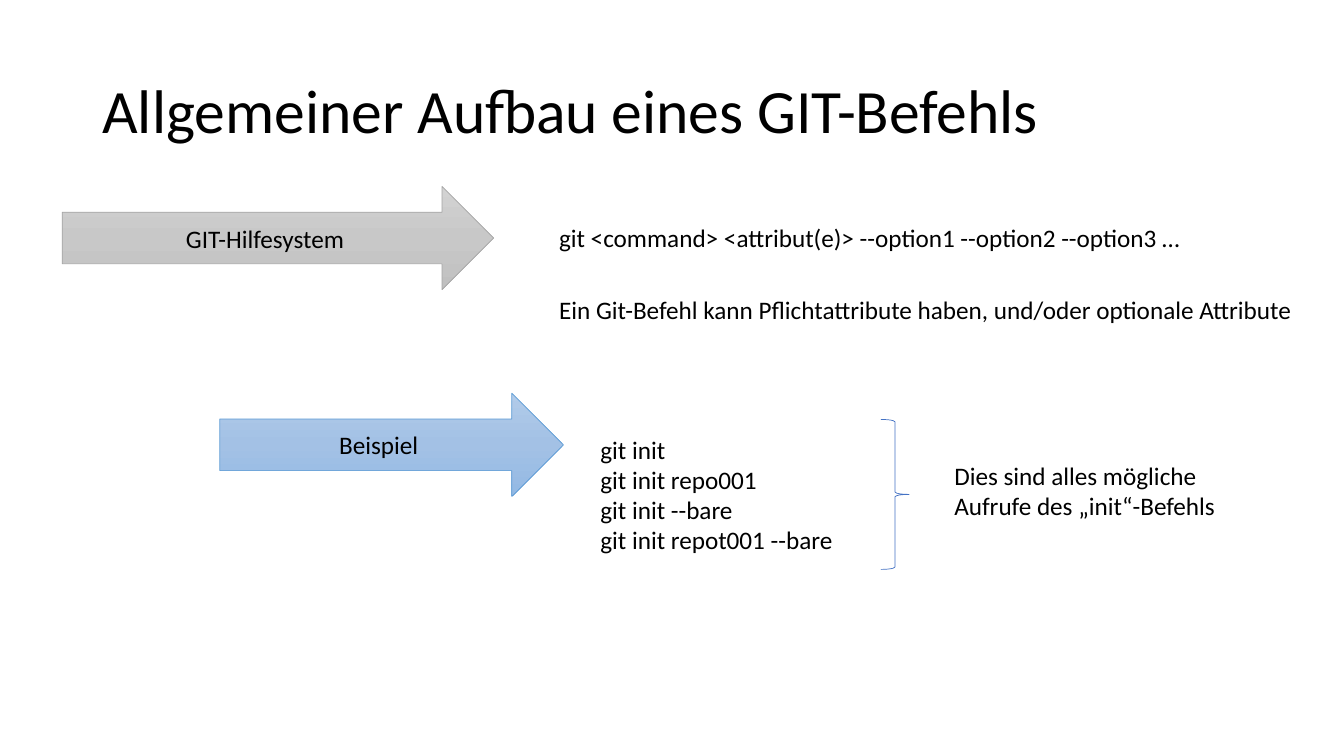
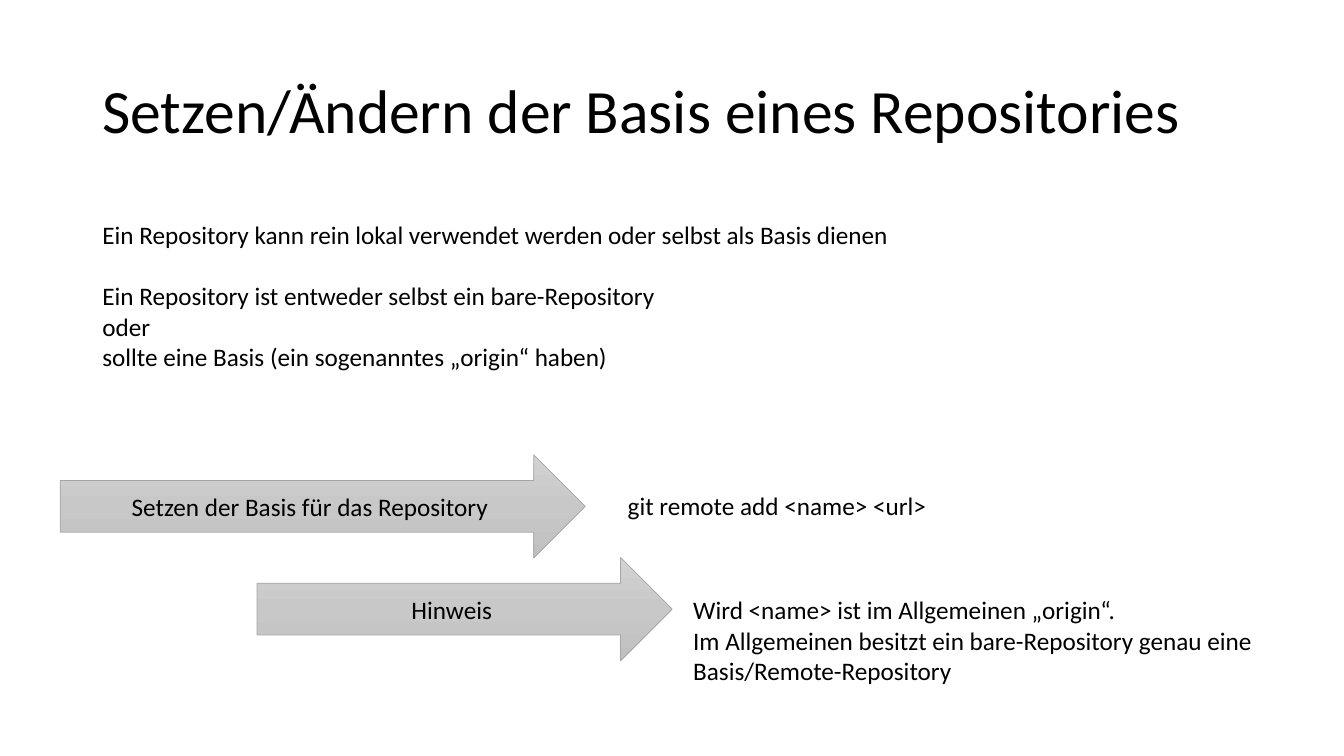
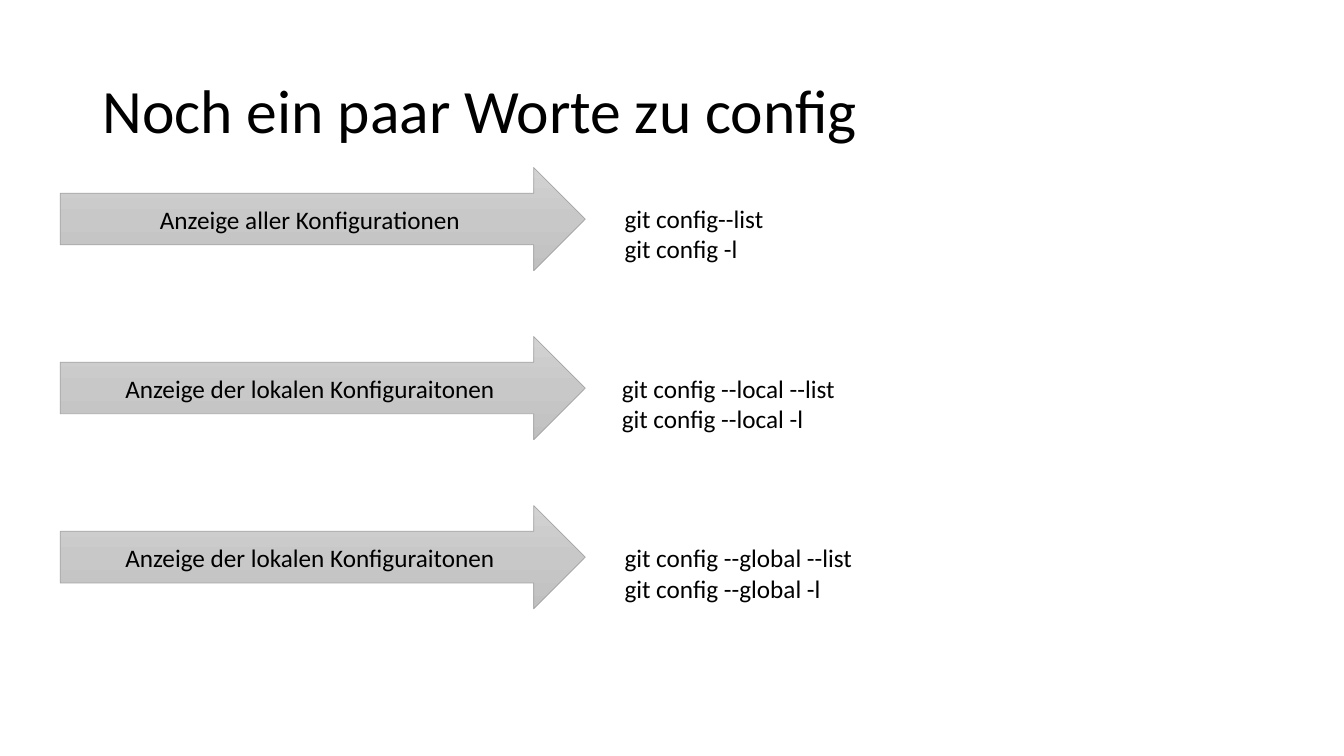
from copy import deepcopy

from pptx import Presentation
from pptx.dml.color import RGBColor
from pptx.enum.shapes import MSO_SHAPE
from pptx.enum.text import MSO_ANCHOR, PP_ALIGN
from pptx.oxml.ns import qn
from pptx.util import Cm, Pt

ARROW = MSO_SHAPE.RIGHT_ARROW
BRACE = MSO_SHAPE.RIGHT_BRACE
MIDDLE = MSO_ANCHOR.MIDDLE
CENTER = PP_ALIGN.CENTER

FONT = "Calibri"
BLACK = "000000"
BRACE_LINE = "4472C4"
GRAY = (("D2D2D2", "C8C8C8", "C0C0C0"), "A5A5A5")
BLUE = (("B1CBE9", "A3C1E5", "93B9E4"), "5B9BD5")
LINE_H = 0.78
INSET = 0.25


def color(code):
    """Turn a hex string into a colour."""
    return RGBColor.from_string(code)


def write(para, text, size=18):
    """Add one styled run to a paragraph."""
    run = para.add_run()
    run.text = text
    run.font.name = FONT
    run.font.size = Pt(size)
    run.font.color.rgb = color(BLACK)


def title(slide, text):
    """Add the slide title."""
    box = slide.shapes.add_textbox(Cm(2.33), Cm(1.02), Cm(29.21), Cm(3.68))
    frame = box.text_frame
    frame.word_wrap = True
    frame.vertical_anchor = MIDDLE
    para = frame.paragraphs[0]
    para.line_spacing = 0.9
    write(para, text, 44)


def lines(slide, left, top, width, texts, gaps=()):
    """Add a text box with one paragraph per line and gaps before some."""
    height = len(texts) * LINE_H + 2 * INSET
    box = slide.shapes.add_textbox(Cm(left), Cm(top), Cm(width), Cm(height))
    frame = box.text_frame
    frame.word_wrap = True
    for i, text in enumerate(texts):
        para = frame.add_paragraph() if i else frame.paragraphs[0]
        if i in gaps:
            para.space_before = Pt(22)
        write(para, text)


def shade(shape, codes):
    """Fill a shape with a three-step gradient from top to bottom."""
    shape.fill.gradient()
    shape.fill.gradient_angle = 270
    first = shape._element.spPr.find(".//" + qn("a:gs"))
    first.addnext(deepcopy(first))
    for i, (stop, code) in enumerate(zip(shape.fill.gradient_stops, codes)):
        stop.position = i / 2
        stop.color.rgb = color(code)


def outline(shape, code):
    """Give a shape a thin line and no shadow."""
    shape.shadow.inherit = False
    shape.line.color.rgb = color(code)
    shape.line.width = Pt(0.5)


def arrow(slide, left, top, width, text, theme=GRAY):
    """Add a labelled block arrow."""
    shape = slide.shapes.add_shape(ARROW, Cm(left), Cm(top), Cm(width), Cm(2.6))
    codes, edge = theme
    shade(shape, codes)
    outline(shape, edge)
    shape.text_frame.vertical_anchor = MIDDLE
    para = shape.text_frame.paragraphs[0]
    para.alignment = CENTER
    write(para, text)


def brace(slide, left, top, width, height):
    """Add a right brace."""
    shape = slide.shapes.add_shape(BRACE, Cm(left), Cm(top), Cm(width), Cm(height))
    shape.fill.background()
    outline(shape, BRACE_LINE)


def command(slide):
    """Build the slide on the shape of a command."""
    title(slide, "Allgemeiner Aufbau eines GIT-Befehls")
    arrow(slide, 1.57, 4.7, 10.87, "GIT-Hilfesystem")
    lines(slide, 13.84, 5.47, 17,
          ["git <command> <attribut(e)> --option1 --option2 --option3 …"])
    arrow(slide, 5.54, 9.91, 8.66, "Beispiel", BLUE)
    lines(slide, 14.88, 10.81, 7,
          ["git init", "git init repo001", "git init --bare",
           "git init repot001 --bare"])
    lines(slide, 13.84, 7.29, 19.7,
          ["Ein Git-Befehl kann Pflichtattribute haben, "
           "und/oder optionale Attribute"])
    brace(slide, 22.2, 10.57, 0.71, 3.78)
    lines(slide, 23.8, 11.48, 8,
          ["Dies sind alles mögliche", "Aufrufe des „init“-Befehls"])


def base(slide):
    """Build the slide on the base of a repository."""
    title(slide, "Setzen/Ändern der Basis eines Repositories")
    lines(slide, 2.33, 5.41, 21,
          ["Ein Repository kann rein lokal verwendet werden "
           "oder selbst als Basis dienen",
           "Ein Repository ist entweder selbst ein bare-Repository",
           "oder",
           "sollte eine Basis (ein sogenanntes „origin“ haben)"], gaps=(1,))
    arrow(slide, 1.52, 11.46, 13.23, "Setzen der Basis für das Repository")
    lines(slide, 15.57, 12.23, 9, ["git remote add <name> <url>"])
    arrow(slide, 6.48, 14.05, 10.46, "Hinweis")
    lines(slide, 17.22, 14.86, 15.5,
          ["Wird <name> ist im Allgemeinen „origin“.",
           "Im Allgemeinen besitzt ein bare-Repository genau eine",
           "Basis/Remote-Repository"])


def config(slide):
    """Build the slide on the config command."""
    title(slide, "Noch ein paar Worte zu config")
    local = "Anzeige der lokalen Konfiguraitonen"
    rows = [
        ("Anzeige aller Konfigurationen", 15.49, 4.99,
         ["git config--list", "git config -l"]),
        (local, 15.42, 9.28,
         ["git config --local --list", "git config --local -l"]),
        (local, 15.49, 13.55,
         ["git config --global --list", "git config --global -l"]),
    ]
    for i, (label, left, top, texts) in enumerate(rows):
        arrow(slide, 1.52, 4.22 + 4.26 * i, 13.23, label)
        lines(slide, left, top, 7, texts)


def main():
    """Build and save the slides."""
    deck = Presentation()
    deck.slide_width, deck.slide_height = Cm(33.87), Cm(19.05)
    for build in (command, base, config):
        build(deck.slides.add_slide(deck.slide_layouts[6]))
    deck.save("out.pptx")


if __name__ == "__main__":
    main()
